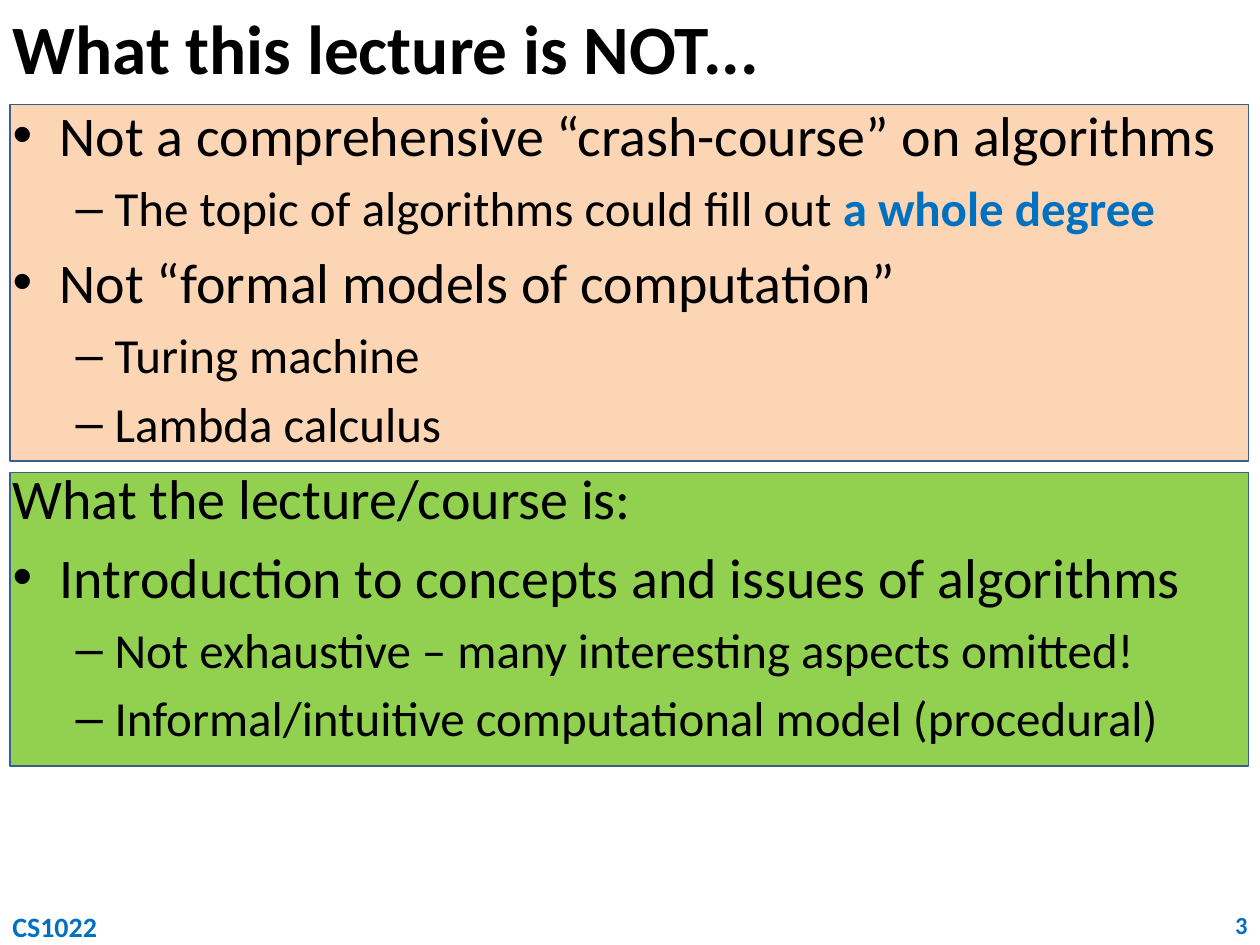
from lxml.etree import SubElement
from pptx import Presentation
from pptx.dml.color import RGBColor
from pptx.enum.shapes import MSO_SHAPE as Shape
from pptx.enum.text import MSO_ANCHOR as Anchor, MSO_AUTO_SIZE as AutoSize, PP_ALIGN as Align
from pptx.oxml.ns import qn
from pptx.util import Inches, Pt

BLACK, BLUE, OUTLINE = "000000", "0070C0", "3A5F8C"
PEACH, GREEN = "FCD5B5", "92D050"
LEVELS = [(32, 0.375, -0.375), (28, 0.81, -0.31)]
POINTS = [
    (0, True, [("Not a comprehensive “crash-course” on algorithms", False)]),
    (1, True, [("The topic of algorithms could fill out ", False), ("a whole degree", True)]),
    (0, True, [("Not “formal models of computation”", False)]),
    (1, True, [("Turing machine", False)]),
    (1, True, [("Lambda calculus", False)]),
    (0, False, [("What the lecture/course is:", False)]),
    (0, True, [("Introduction to concepts and issues of algorithms", False)]),
    (1, True, [("Not exhaustive – many interesting aspects omitted!", False)]),
    (1, True, [("Informal/intuitive computational model (procedural)", False)]),
]


def rgb(value):
    """Turn a hex string into a colour."""
    return RGBColor.from_string(value)


def place(sp, box):
    """Move a shape to a box given in inches."""
    sp.left, sp.top, sp.width, sp.height = (Inches(v) for v in box)


def add_run(p, text, size, color=BLACK, bold=False):
    """Append one formatted run to a paragraph."""
    r = p.add_run()
    r.text = text
    r.font.name, r.font.size, r.font.bold = "Calibri", Pt(size), bold
    r.font.color.rgb = rgb(color)


def add_panel(s, box, fill):
    """Add a coloured panel behind the text."""
    sp = s.shapes.add_shape(Shape.RECTANGLE, *(Inches(v) for v in box))
    sp.shadow.inherit = False
    sp.fill.solid()
    sp.fill.fore_color.rgb = rgb(fill)
    sp.line.color.rgb = rgb(OUTLINE)
    sp.line.width = Pt(0.75)
    return sp


def fill_title(sp, box, text):
    """Place the title and write its text."""
    place(sp, box)
    tf = sp.text_frame
    tf.auto_size, tf.vertical_anchor = AutoSize.NONE, Anchor.MIDDLE
    p = tf.paragraphs[0]
    p.alignment = Align.LEFT
    add_run(p, text, 39.6, bold=True)


def fill_body(sp, box, points):
    """Place the body and write its two-level list."""
    place(sp, box)
    tf = sp.text_frame
    tf.auto_size, tf.vertical_anchor = AutoSize.NONE, Anchor.TOP
    for i, (level, bulleted, runs) in enumerate(points):
        p = tf.add_paragraph() if i else tf.paragraphs[0]
        size, margin, indent = LEVELS[level]
        p.level = level
        pPr = p._p.get_or_add_pPr()
        pPr.set("marL", str(Inches(margin)))
        pPr.set("indent", str(Inches(indent)))
        if not bulleted:
            SubElement(pPr, qn("a:buNone"))
        if i == 0:
            p.space_before = Pt(0)
        for text, strong in runs:
            add_run(p, text, size, BLUE if strong else BLACK, strong)


def add_footer(s, box, text, size, align):
    """Add a short bold footer label."""
    tf = s.shapes.add_textbox(*(Inches(v) for v in box)).text_frame
    tf.word_wrap = True
    p = tf.paragraphs[0]
    p.alignment = align
    add_run(p, text, size, BLUE, True)


def build_slide(prs):
    """Build the lecture scope slide."""
    s = prs.slides.add_slide(prs.slide_layouts[1])
    title, body = s.placeholders[0], s.placeholders[1]
    for box, fill in [((0.08, 0.83, 9.83, 2.83), PEACH), ((0.08, 3.75, 9.83, 2.33), GREEN)]:
        title._element.addprevious(add_panel(s, box, fill)._element)
    fill_title(title, (0, 0, 10, 0.75), "What this lecture is NOT...")
    fill_body(body, (0, 0.75, 10, 6.42), POINTS)
    add_footer(s, (9.67, 7.17, 0.33, 0.33), "3", 14, Align.RIGHT)
    add_footer(s, (0, 7.17, 0.92, 0.33), "CS1022", 16, Align.LEFT)


def main():
    """Create and save the presentation."""
    prs = Presentation()
    prs.slide_width, prs.slide_height = Inches(10), Inches(7.5)
    build_slide(prs)
    prs.save("out.pptx")


if __name__ == "__main__":
    main()
